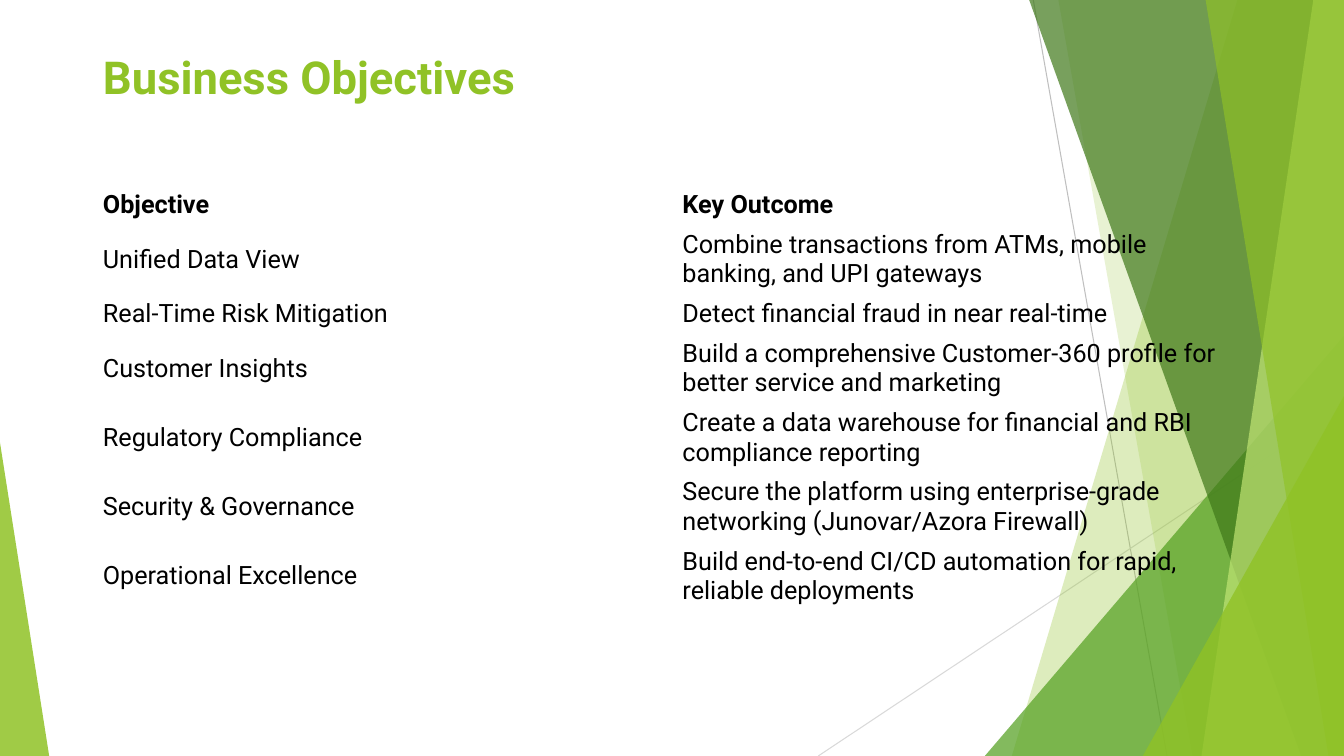
from dataclasses import dataclass

from lxml import etree
from pptx import Presentation
from pptx.dml.color import RGBColor
from pptx.enum.shapes import MSO_CONNECTOR, MSO_SHAPE
from pptx.enum.text import MSO_ANCHOR, MSO_AUTO_SIZE, PP_ALIGN
from pptx.oxml.ns import qn
from pptx.util import Cm, Pt

STRAIGHT = MSO_CONNECTOR.STRAIGHT
TRIANGLE = MSO_SHAPE.ISOSCELES_TRIANGLE
TOP, MIDDLE = MSO_ANCHOR.TOP, MSO_ANCHOR.MIDDLE
LEFT = PP_ALIGN.LEFT
NO_AUTOFIT = MSO_AUTO_SIZE.NONE
PLAIN_TABLE = "{2D5ABB26-0587-4C30-8999-92F81FD0307C}"


@dataclass(frozen=True)
class Theme:
    font: str = "Roboto"
    title_size: float = 32.4
    body_size: float = 18
    ink: str = "000000"
    lime: str = "90C226"
    green: str = "54A021"
    forest: str = "3F7819"
    pale: str = "C0E474"
    steep_ray: str = "BFBFBF"
    flat_ray: str = "D9D9D9"
    ray_width: float = 0.75


THEME = Theme()
WIDTH, HEIGHT, BLEED = 33.87, 19.05, -0.02

TITLE = "Business Objectives"
HEADINGS = ("Objective", "Key Outcome")
OBJECTIVES = [
    ("Unified Data View", "Combine transactions from ATMs, mobile banking, and UPI gateways"),
    ("Real-Time Risk Mitigation", "Detect financial fraud in near real-time"),
    ("Customer Insights", "Build a comprehensive Customer-360 profile for better service and marketing"),
    ("Regulatory Compliance", "Create a data warehouse for financial and RBI compliance reporting"),
    ("Security & Governance", "Secure the platform using enterprise-grade networking (Junovar/Azora Firewall)"),
    ("Operational Excellence", "Build end-to-end CI/CD automation for rapid, reliable deployments"),
]

RAYS = [
    (26.04, 0, 29.41, HEIGHT, THEME.steep_ray),
    (WIDTH, 10.24, 20.62, HEIGHT, THEME.flat_ray),
]
FACETS = [
    ("band", 31.19, 25.5, THEME.lime, 30),
    ("band", 26.67, 30.05, THEME.lime, 20),
    ("wedge", (24.82, 8.46), (WIDTH, 1), THEME.green, 72),
    ("band", 25.93, 32.79, THEME.forest, 70),
    ("band", 33.1, 30.28, THEME.pale, 70),
    ("band", 30.38, 33.48, THEME.lime, 65),
    ("wedge", (28.8, 9.98), (WIDTH, 1), THEME.lime, 80),
    ("wedge", (0, 11.15), (1.24, 0), THEME.lime, 85),
]

MARGIN, CONTENT_WIDTH = 2.34, 29.21
TITLE_TOP, TITLE_HEIGHT = 1.02, 2.21
TABLE_TOP, ROW_HEIGHT = 4.67, 1.0


def write(frame, text, *, size=THEME.body_size, color=THEME.ink, bold=False, anchor=MIDDLE):
    """Put formatted text in a frame."""
    frame.word_wrap = True
    frame.vertical_anchor = anchor
    paragraph = frame.paragraphs[0]
    paragraph.alignment = LEFT
    run = paragraph.add_run()
    run.text = text
    run.font.name = THEME.font
    run.font.size = Pt(size)
    run.font.bold = bold
    run.font.color.rgb = RGBColor.from_string(color)


def draw_ray(shapes, x1, y1, x2, y2, color):
    """Draw a thin line without shadow."""
    ray = shapes.add_connector(STRAIGHT, Cm(x1), Cm(y1), Cm(x2), Cm(y2))
    ray.line.color.rgb = RGBColor.from_string(color)
    ray.line.width = Pt(THEME.ray_width)
    etree.SubElement(ray._element.spPr, qn("a:effectLst"))


def draw_band(shapes, top_x, foot_x):
    """Outline a band from a slanted edge to the right side of the slide."""
    corners = [(WIDTH, BLEED), (WIDTH, HEIGHT), (foot_x, HEIGHT)]
    outline = shapes.build_freeform(Cm(top_x), Cm(BLEED))
    outline.add_line_segments([(Cm(x), Cm(y)) for x, y in corners], close=True)
    return outline.convert_to_shape()


def draw_wedge(shapes, corner, extent):
    """Draw a right triangle that stands on the foot of the slide."""
    (left, top), (right, apex) = corner, extent
    wedge = shapes.add_shape(TRIANGLE, Cm(left), Cm(top), Cm(right - left), Cm(HEIGHT - top))
    wedge.adjustments[0] = apex
    return wedge


def tint(facet, color, opacity):
    """Fill a facet with a translucent colour and no outline."""
    facet.shadow.inherit = False
    facet.line.fill.background()
    facet.fill.solid()
    facet.fill.fore_color.rgb = RGBColor.from_string(color)
    shade = facet._element.spPr.find(qn("a:solidFill"))[0]
    etree.SubElement(shade, qn("a:alpha"), val=str(opacity * 1000))


def draw_backdrop(shapes):
    """Draw the rays and facets from back to front."""
    for ray in RAYS:
        draw_ray(shapes, *ray)
    draw = {"band": draw_band, "wedge": draw_wedge}
    for form, start, end, color, opacity in FACETS:
        tint(draw[form](shapes, start, end), color, opacity)


def place_title(shapes):
    """Place the title in front of the backdrop."""
    title = shapes.title
    title.left, title.top = Cm(MARGIN), Cm(TITLE_TOP)
    title.width, title.height = Cm(CONTENT_WIDTH), Cm(TITLE_HEIGHT)
    title.text_frame.auto_size = NO_AUTOFIT
    title.text_frame.margin_top = Cm(0.22)
    write(title.text_frame, TITLE, size=THEME.title_size, color=THEME.lime, bold=True, anchor=TOP)
    title._element.getparent().append(title._element)


def place_objectives(shapes):
    """Lay out the objectives in an unruled table."""
    rows = [HEADINGS, *OBJECTIVES]
    frame = shapes.add_table(
        len(rows), len(HEADINGS), Cm(MARGIN), Cm(TABLE_TOP),
        Cm(CONTENT_WIDTH), Cm(ROW_HEIGHT * len(rows)),
    )
    frame._element.xpath(".//a:tableStyleId")[0].text = PLAIN_TABLE
    objectives = frame.table
    objectives.first_row = objectives.horz_banding = False
    for r, entries in enumerate(rows):
        for c, entry in enumerate(entries):
            cell = objectives.cell(r, c)
            cell.fill.background()
            cell.vertical_anchor = MIDDLE
            write(cell.text_frame, entry, bold=r == 0)


def main():
    """Build and save the slide."""
    deck = Presentation()
    deck.slide_width, deck.slide_height = Cm(WIDTH), Cm(HEIGHT)
    shapes = deck.slides.add_slide(deck.slide_layouts[5]).shapes
    draw_backdrop(shapes)
    place_title(shapes)
    place_objectives(shapes)
    deck.save("out.pptx")


if __name__ == "__main__":
    main()
